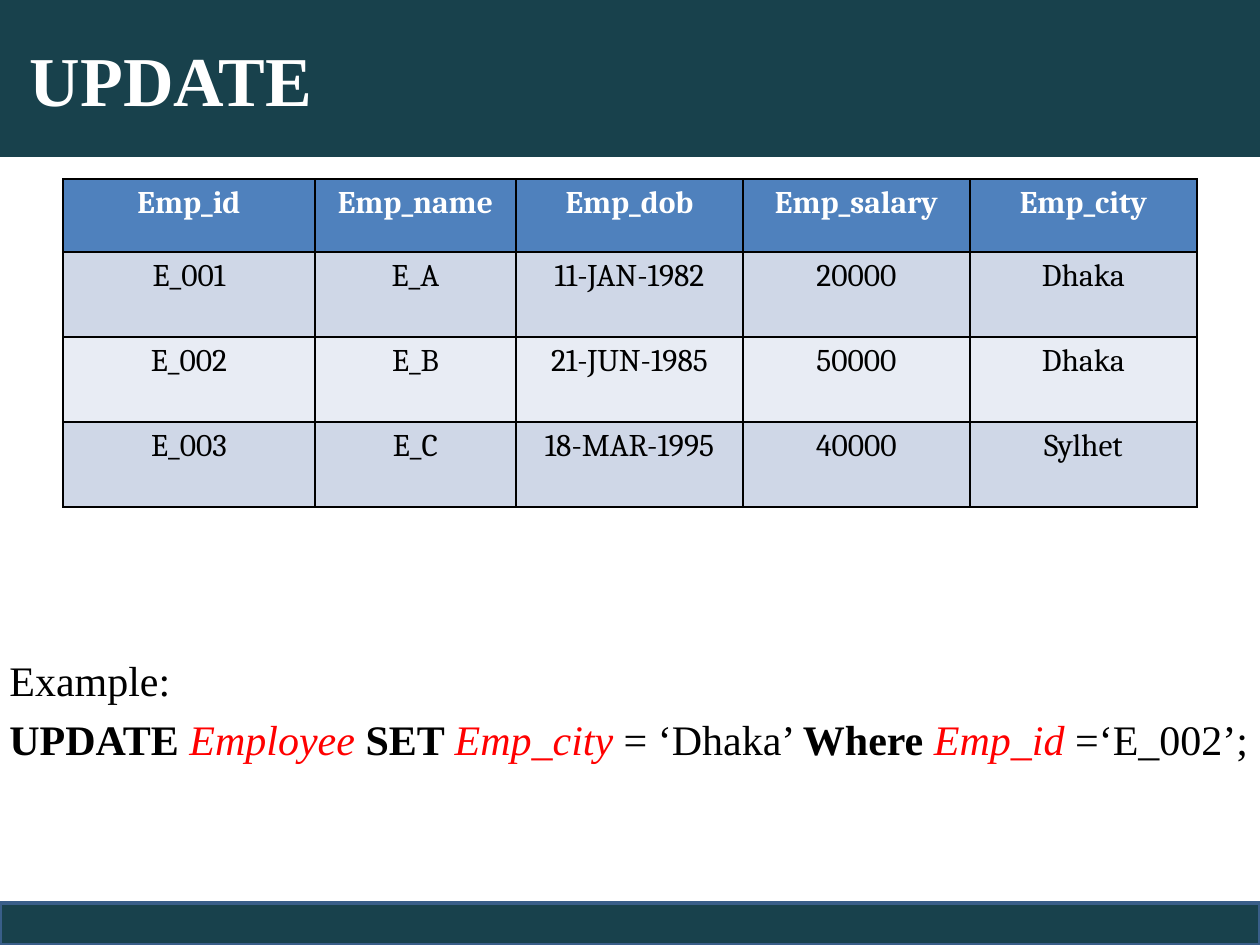
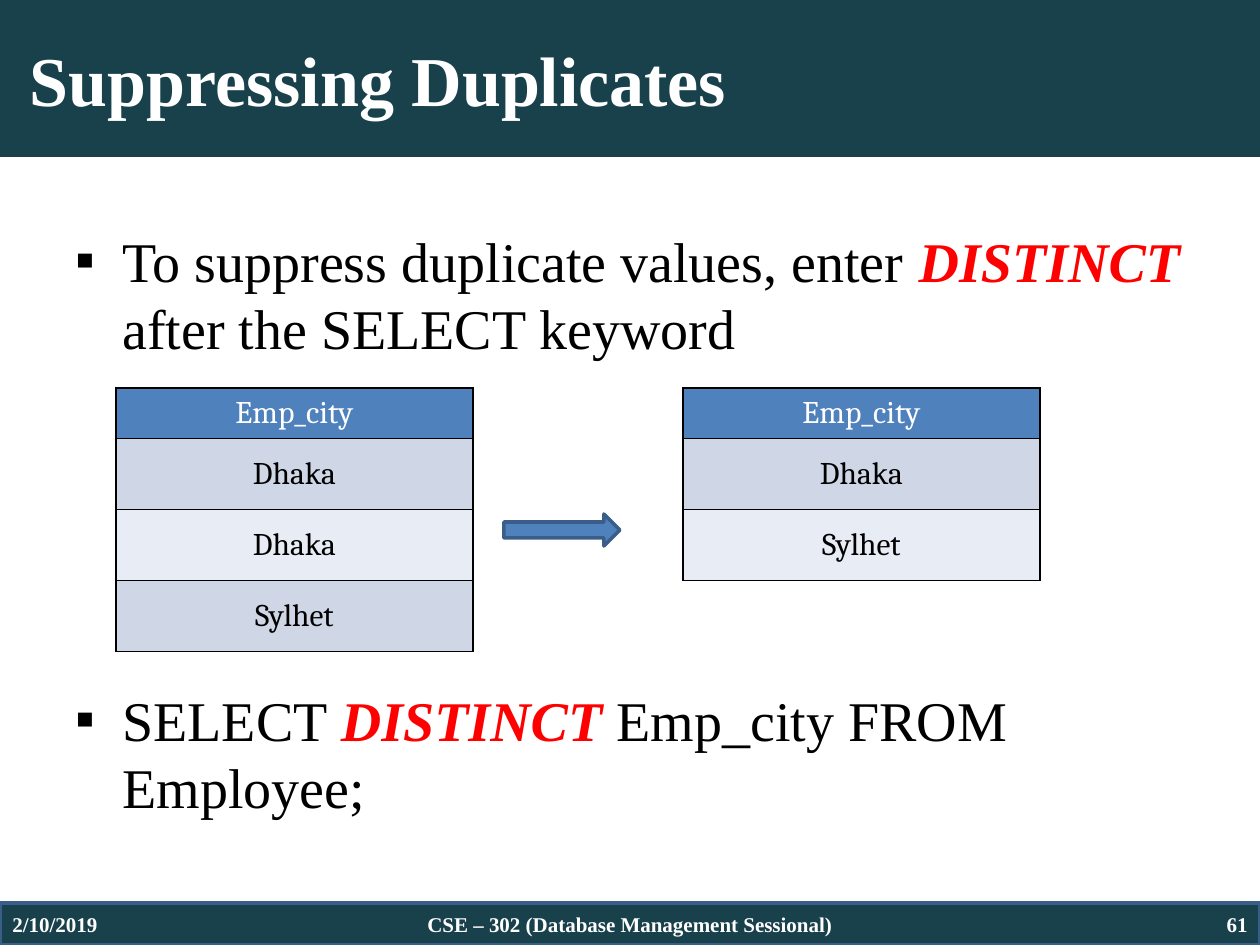
"""Build two SQL lesson slides: UPDATE and suppressing duplicates."""
from dataclasses import dataclass

from lxml.etree import SubElement
from pptx import Presentation
from pptx.dml.color import RGBColor as RGB
from pptx.enum.shapes import MSO_SHAPE as SHAPE
from pptx.enum.text import MSO_ANCHOR as ANCHOR, PP_ALIGN as ALIGN
from pptx.oxml.ns import qn
from pptx.util import Emu, Pt

EMU_PER_PX = 914400 / 126
WIDTH, HEIGHT = 1260, 945
TITLE_H = 157
FOOTER_TOP, FOOTER_H = 903, 42


@dataclass(frozen=True)
class Theme:
    band: str = "18414C"
    outline: str = "395E89"
    accent: str = "4F81BD"
    stripes: tuple = ("CFD7E7", "E8ECF4")
    light: str = "FFFFFF"
    dark: str = "000000"
    keyword: str = "FF0000"
    font: str = "Times New Roman"
    table_font: str = "Cambria"
    title_pt: int = 40
    bullet_pt: int = 32
    code_pt: int = 24
    table_pt: int = 18
    footer_pt: int = 12
    line_pt: int = 2
    leading: float = 1.2


T = Theme()
BOLD = {"bold": True}
NAME = {"color": T.keyword, "italic": True}
KEYWORD = {"color": T.keyword, "bold": True, "italic": True}


def px(n):
    return Emu(round(n * EMU_PER_PX))


def box(*lengths):
    return [px(n) for n in lengths]


def add_run(p, text, size=T.bullet_pt, font=T.font, color=T.dark,
            bold=False, italic=False):
    r = p.add_run()
    r.text = text
    f = r.font
    f.size, f.name, f.bold, f.italic = Pt(size), font, bold, italic
    f.color.rgb = RGB.from_string(color)


def add_runs(p, parts, size, before=0):
    p.line_spacing = Pt(size * T.leading)
    p.space_before = Pt(before)
    for text, style in parts:
        add_run(p, text, size=size, **style)


def add_bullet(p, hang=47):
    pPr = p._p.get_or_add_pPr()
    pPr.set("marL", str(px(hang)))
    pPr.set("indent", str(px(-hang)))
    SubElement(SubElement(pPr, qn("a:buClr")), qn("a:srgbClr"), val=T.dark)
    SubElement(pPr, qn("a:buFont"), typeface=T.font)
    SubElement(pPr, qn("a:buChar"), char="▪")


def add_text_box(s, x, y, w, h, anchor=ANCHOR.TOP):
    tf = s.shapes.add_textbox(*box(x, y, w, h)).text_frame
    tf.word_wrap = True
    tf.vertical_anchor = anchor
    return tf


def add_block(s, kind, x, y, w, h, fill, line=None):
    sp = s.shapes.add_shape(kind, *box(x, y, w, h))
    sp.shadow.inherit = False
    sp.fill.solid()
    sp.fill.fore_color.rgb = RGB.from_string(fill)
    if line:
        sp.line.color.rgb = RGB.from_string(line)
        sp.line.width = Pt(T.line_pt)
    else:
        sp.line.fill.background()
    return sp


def add_frame(prs, title):
    s = prs.slides.add_slide(prs.slide_layouts[6])
    add_block(s, SHAPE.RECTANGLE, 0, FOOTER_TOP, WIDTH, FOOTER_H, T.band, T.outline)
    tf = add_block(s, SHAPE.RECTANGLE, 0, 0, WIDTH, TITLE_H, T.band).text_frame
    tf.vertical_anchor = ANCHOR.MIDDLE
    tf.margin_left = px(30)
    p = tf.paragraphs[0]
    p.alignment = ALIGN.LEFT
    add_run(p, title, size=T.title_pt, color=T.light, bold=True)
    return s


def add_footer_text(s, text, x, w, align):
    tf = add_text_box(s, x, FOOTER_TOP, w, FOOTER_H, ANCHOR.MIDDLE)
    p = tf.paragraphs[0]
    p.alignment = align
    add_run(p, text, size=T.footer_pt, color=T.light, bold=True)


def style_cell(cell, text, fill, color, bold, anchor):
    tcPr = cell._tc.get_or_add_tcPr()
    for side in "LRTB":
        ln = SubElement(tcPr, qn(f"a:ln{side}"), w=str(Pt(1)))
        SubElement(SubElement(ln, qn("a:solidFill")), qn("a:srgbClr"), val=T.dark)
    cell.fill.solid()
    cell.fill.fore_color.rgb = RGB.from_string(fill)
    cell.vertical_anchor = anchor
    p = cell.text_frame.paragraphs[0]
    p.alignment = ALIGN.CENTER
    add_run(p, text, size=T.table_pt, font=T.table_font, color=color, bold=bold)


def add_table(s, x, y, rows, cols, head_h, row_h, head_bold=False, anchor=ANCHOR.MIDDLE):
    heights = [head_h] + [row_h] * (len(rows) - 1)
    table = s.shapes.add_table(
        len(rows), len(cols), *box(x, y, sum(cols), sum(heights))).table
    for column, w in zip(table.columns, cols):
        column.width = px(w)
    for i, (row, values) in enumerate(zip(table.rows, rows)):
        row.height = px(heights[i])
        fill = T.stripes[(i - 1) % 2] if i else T.accent
        color = T.dark if i else T.light
        for cell, text in zip(row.cells, values):
            style_cell(cell, text, fill, color, head_bold and i == 0, anchor)


def add_update_slide(prs):
    s = add_frame(prs, "UPDATE")
    tf = add_text_box(s, -3, 368, 1273, 624, ANCHOR.MIDDLE)
    tf.margin_top = px(65)
    add_runs(tf.paragraphs[0], [("Example:", {})], T.code_pt)
    add_runs(tf.add_paragraph(), [
        ("UPDATE ", BOLD), ("Employee ", NAME), ("SET ", BOLD),
        ("Emp_city", NAME), (" = ‘Dhaka’ ", {}), ("Where ", BOLD),
        ("Emp_id", NAME), (" =‘E_002’;", {}),
    ], T.code_pt, before=4.8)
    employees = [
        ("Emp_id", "Emp_name", "Emp_dob", "Emp_salary", "Emp_city"),
        ("E_001", "E_A", "11-JAN-1982", "20000", "Dhaka"),
        ("E_002", "E_B", "21-JUN-1985", "50000", "Dhaka"),
        ("E_003", "E_C", "18-MAR-1995", "40000", "Sylhet"),
    ]
    add_table(s, 63, 179, employees, (252, 201, 227, 227, 227), 73, 85,
              head_bold=True, anchor=ANCHOR.TOP)


def add_distinct_slide(prs):
    s = add_frame(prs, "Suppressing Duplicates")
    tf = add_text_box(s, 63, 220, 1134, 624)
    bullets = [
        ([("To suppress duplicate values, enter ", {}), ("DISTINCT", KEYWORD),
          (" after the SELECT keyword", {})], 0),
        ([("SELECT ", {}), ("DISTINCT ", KEYWORD),
          ("Emp_city FROM Employee;", {})], 185.6),
    ]
    for i, (parts, before) in enumerate(bullets):
        p = tf.add_paragraph() if i else tf.paragraphs[0]
        add_bullet(p)
        add_runs(p, parts, T.bullet_pt, before)
    add_footer_text(s, "61", 966, 294, ALIGN.RIGHT)
    add_footer_text(s, "2/10/2019", 0, 294, ALIGN.LEFT)
    add_footer_text(s, "CSE – 302 (Database Management Sessional)", 357, 546, ALIGN.CENTER)
    for x, cities in ((116, ("Dhaka", "Dhaka", "Sylhet")), (683, ("Dhaka", "Sylhet"))):
        rows = [(text,) for text in ("Emp_city", *cities)]
        add_table(s, x, 388, rows, (357,), 50, 71)
    add_block(s, SHAPE.RIGHT_ARROW, 504, 514, 116, 32, T.accent, T.outline)


def main():
    prs = Presentation()
    prs.slide_width, prs.slide_height = box(WIDTH, HEIGHT)
    add_update_slide(prs)
    add_distinct_slide(prs)
    prs.save("out.pptx")


if __name__ == "__main__":
    main()
